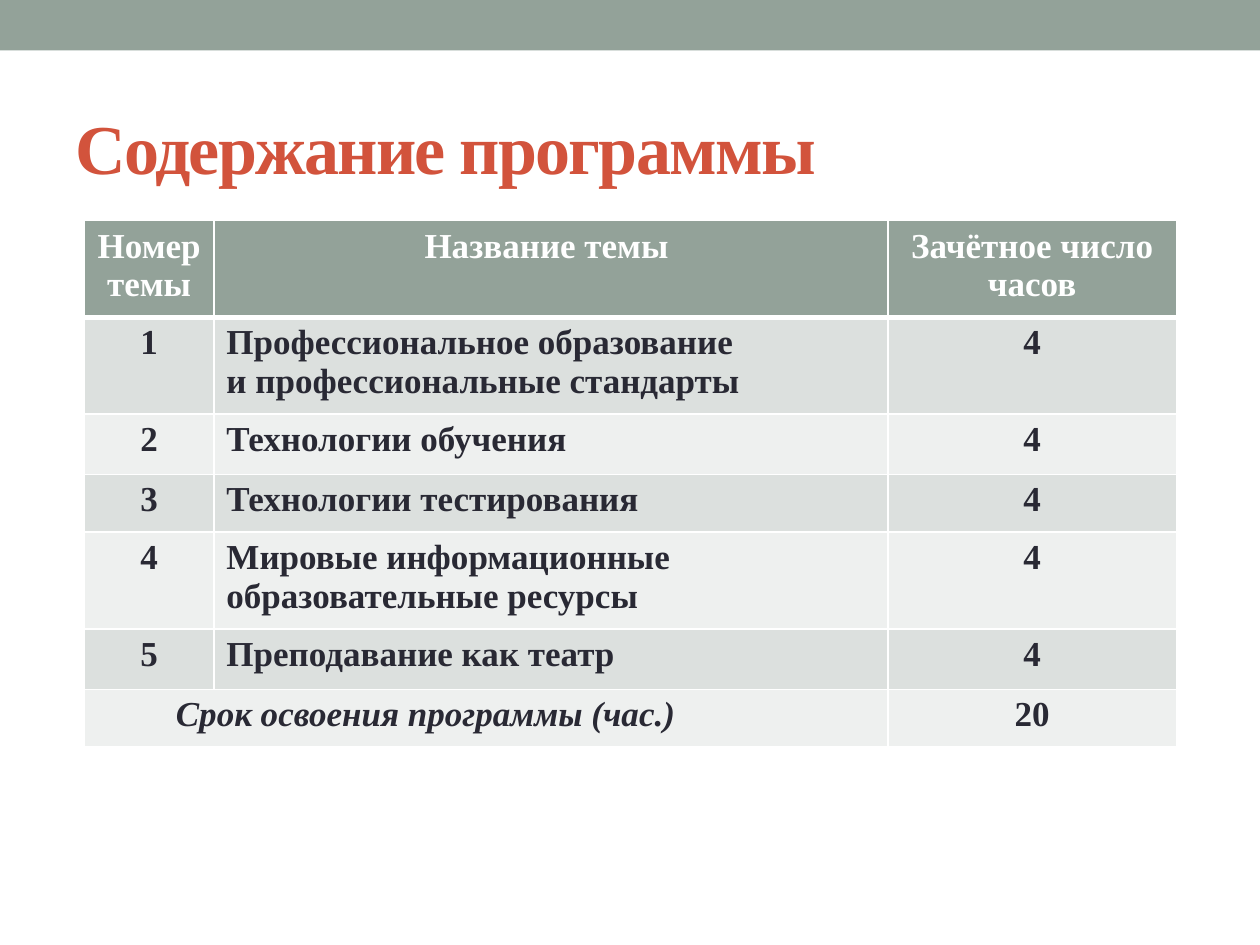
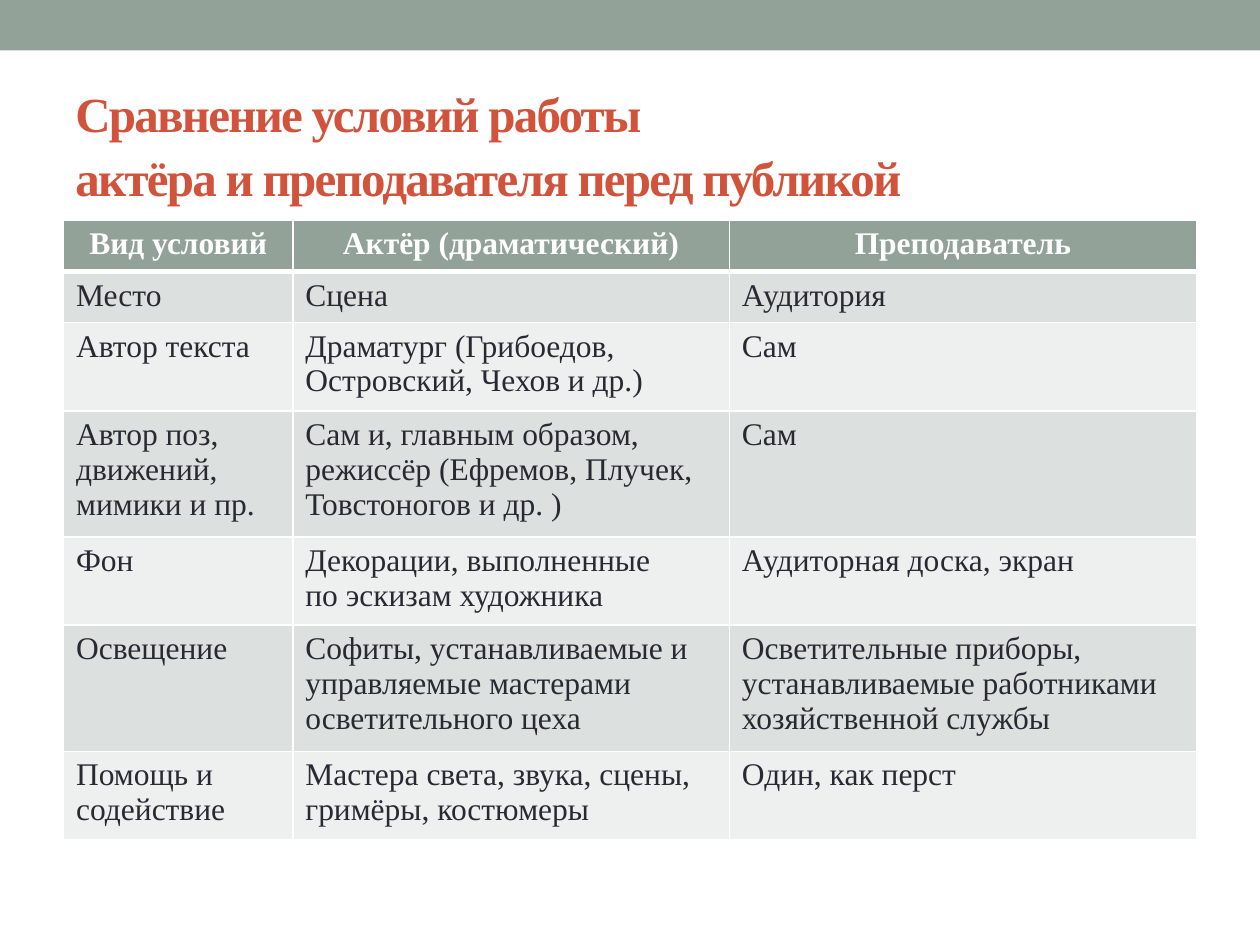
from lxml import etree
from pptx import Presentation
from pptx.dml.color import RGBColor
from pptx.enum.shapes import MSO_SHAPE
from pptx.enum.text import MSO_ANCHOR, PP_ALIGN
from pptx.oxml.ns import qn
from pptx.util import Pt

SAGE = RGBColor(0x93, 0xA2, 0x99)
RUST = RGBColor(0xD2, 0x53, 0x3C)
INK = RGBColor(0x29, 0x29, 0x34)
WHITE = RGBColor(0xFF, 0xFF, 0xFF)
STRIPES = [RGBColor(0xEE, 0xF0, 0xEF), RGBColor(0xDC, 0xE0, 0xDE)]
FONT = "Times New Roman"
RECT = MSO_SHAPE.RECTANGLE
MIDDLE = MSO_ANCHOR.MIDDLE
LEFT, CENTER = PP_ALIGN.LEFT, PP_ALIGN.CENTER

SLIDES = [
    {
        "title": "Содержание программы",
        "title_size": 40,
        "left": 48.3,
        "cols": [73.9, 385.3, 164.7],
        "heights": [55.2, 55.2, 34.6, 33, 55.2, 34.6, 33],
        "aligns": [CENTER, LEFT, CENTER],
        "size": 20,
        "bold": True,
        "rows": [
            ["Номер темы", "Название темы ", "Зачётное число часов"],
            ["1", "Профессиональное образование\nи профессиональные стандарты", "4"],
            ["2", "Технологии обучения", "4"],
            ["3", "Технологии тестирования", "4"],
            ["4", "Мировые информационные образовательные ресурсы", "4"],
            ["5", "Преподавание как театр", "4"],
            ["Срок освоения программы (час.) ", "", "20"],
        ],
    },
    {
        "title": "Сравнение условий работы \vактёра и преподавателя перед публикой",
        "title_size": 28,
        "left": 36.3,
        "cols": [131, 249.5, 267],
        "heights": [29.2, 29.2, 47.2, 67, 47.2, 67, 47.2],
        "aligns": [LEFT, LEFT, LEFT],
        "size": 18,
        "bold": False,
        "rows": [
            ["Вид условий", "Актёр (драматический)", "Преподаватель"],
            ["Место", "Сцена", "Аудитория"],
            ["Автор текста", "Драматург (Грибоедов, Островский, Чехов и др.)", "Сам"],
            ["Автор поз, движений, мимики и пр.",
             "Сам и, главным образом, режиссёр (Ефремов, Плучек, Товстоногов и др. )", "Сам"],
            ["Фон", "Декорации, выполненные \nпо эскизам художника", "Аудиторная доска, экран"],
            ["Освещение", "Софиты, устанавливаемые и управляемые мастерами осветительного цеха",
             "Осветительные приборы, устанавливаемые работниками хозяйственной службы"],
            ["Помощь и содействие", "Мастера света, звука, сцены, гримёры, костюмеры  ",
             "Один, как перст"],
        ],
    },
]


def write(tf, text, color, align, fmt):
    tf.text = text
    for p in tf.paragraphs:
        p.alignment = align
        for r in p.runs:
            r.font.color.rgb = color
            for name, value in fmt.items():
                setattr(r.font, name, value)


def set_borders(cell, top, bottom):
    widths = {"a:lnL": 1, "a:lnR": 1, "a:lnT": top, "a:lnB": bottom}
    tcPr = cell._tc.get_or_add_tcPr()
    for i, (tag, width) in enumerate(widths.items()):
        ln = etree.Element(qn(tag), w=str(Pt(width)))
        fill = etree.SubElement(ln, qn("a:solidFill"))
        etree.SubElement(fill, qn("a:srgbClr"), val=str(WHITE))
        tcPr.insert(i, ln)


prs = Presentation()
prs.slide_width, prs.slide_height = Pt(720), Pt(540)

for spec in SLIDES:
    s = prs.slides.add_slide(prs.slide_layouts[6])

    band = s.shapes.add_shape(RECT, 0, 0, prs.slide_width, Pt(28.8))
    band.shadow.inherit = False
    band.fill.solid()
    band.fill.fore_color.rgb = SAGE
    band.line.fill.background()

    tf = s.shapes.add_textbox(Pt(36), Pt(42.5), Pt(648), Pt(78)).text_frame
    tf.word_wrap = True
    tf.vertical_anchor = MIDDLE
    write(tf, spec["title"], RUST, LEFT,
          {"name": FONT, "size": Pt(spec["title_size"]), "bold": True})
    tf.paragraphs[0].line_spacing = 1.09
    for r in tf.paragraphs[0].runs:
        r.font._element.set("spc", "-100")

    rows, cols, heights = spec["rows"], spec["cols"], spec["heights"]
    table = s.shapes.add_table(len(rows), len(cols), Pt(spec["left"]), Pt(126),
                               Pt(sum(cols)), Pt(sum(heights))).table
    for col, width in zip(table.columns, cols):
        col.width = Pt(width)
    for i, row in enumerate(rows):
        table.rows[i].height = Pt(heights[i])
        header = i == 0
        for j, text in enumerate(row):
            cell = table.cell(i, j)
            cell.fill.solid()
            cell.fill.fore_color.rgb = SAGE if header else STRIPES[i % 2]
            set_borders(cell, 3 if i == 1 else 1, 3 if header else 1)
            total = j + 1 < len(row) and row[j + 1] == ""
            if total:
                cell.merge(table.cell(i, j + 1))
                cell.margin_left = Pt(52.2)
            align = CENTER if header else LEFT if total else spec["aligns"][j]
            write(cell.text_frame, text, WHITE if header else INK, align,
                  {"name": FONT, "size": Pt(spec["size"]),
                   "bold": header or spec["bold"], "italic": total})

prs.save("out.pptx")
